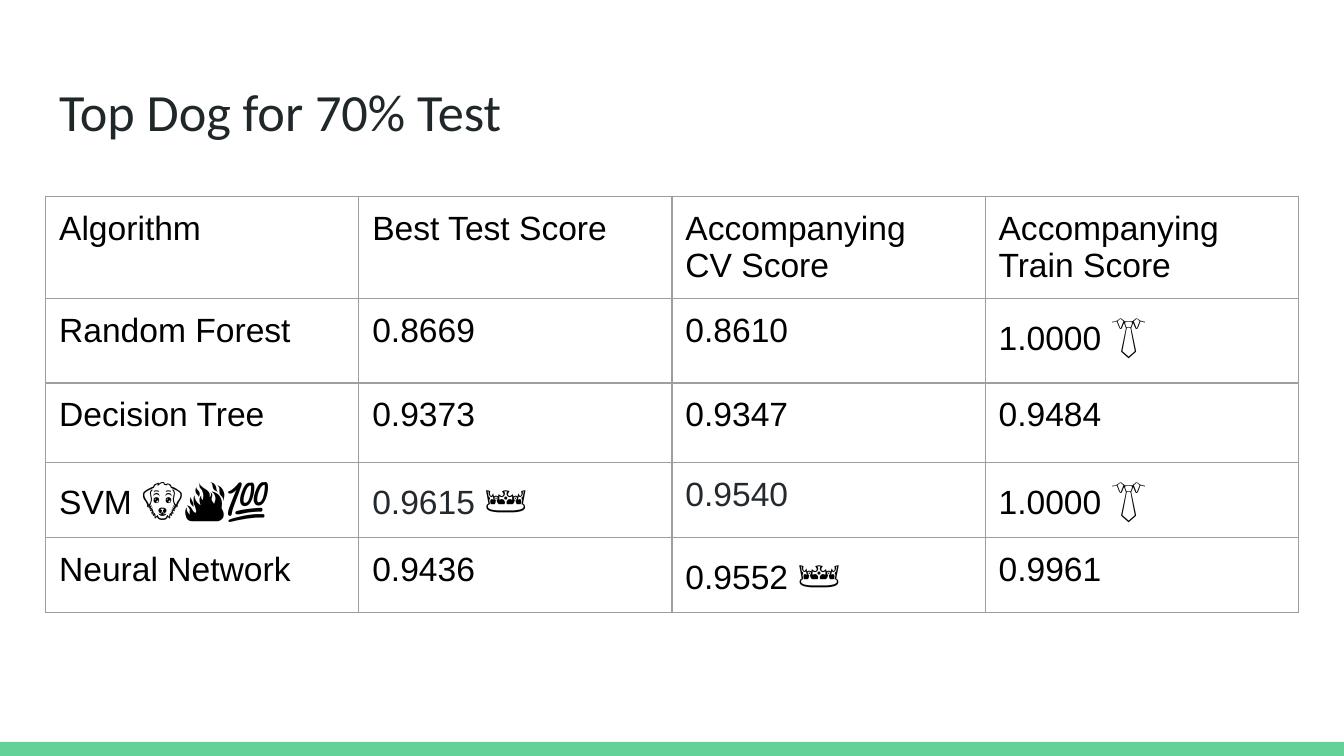
from lxml import etree
from pptx import Presentation
from pptx.dml.color import RGBColor
from pptx.enum import shapes, text
from pptx.oxml import ns
from pptx.util import Inches, Pt

BLACK = RGBColor(0x00, 0x00, 0x00)
SLATE = RGBColor(0x24, 0x29, 0x2E)
INK = RGBColor(0x20, 0x27, 0x29)
GREEN = RGBColor(0x63, 0xD2, 0x97)
GREY = RGBColor(0x9E, 0x9E, 0x9E)

HEIGHTS = [0.72, 0.63, 0.59, 0.54, 0.54]
ROWS = [
    ["Algorithm", "Best Test Score", "Accompanying\nCV Score", "Accompanying\nTrain Score"],
    ["Random Forest", "0.8669", "0.8610", ("1.0000 ", "👔")],
    ["Decision Tree", "0.9373", "0.9347", "0.9484"],
    [("SVM ", "🐶🔥💯"), ("0.9615 ", "👑"), "0.9540", ("1.0000 ", "👔")],
    ["Neural Network", "0.9436", ("0.9552 ", "👑"), "0.9961"],
]
DARK = {(3, 1), (3, 2)}


def add_run(para, words, size, color, face="Arial", bold=False):
    """Append one styled run to a paragraph."""
    run = para.add_run()
    run.text = words
    font = run.font
    font.name, font.size, font.bold = face, Pt(size), bold
    font.color.rgb = color


def add_bar(slide):
    """Draw the green strip along the bottom edge."""
    bar = slide.shapes.add_shape(
        shapes.MSO_SHAPE.RECTANGLE, 0, Inches(5.52), Inches(10), Inches(0.11))
    bar.shadow.inherit = False
    bar.fill.solid()
    bar.fill.fore_color.rgb = GREEN
    bar.line.fill.background()


def set_title(slide, words):
    """Place the title and write its text."""
    title = slide.shapes.title
    title.left, title.top = Inches(0.34), Inches(0.49)
    title.width, title.height = Inches(9.32), Inches(0.63)
    frame = title.text_frame
    frame.auto_size = text.MSO_AUTO_SIZE.NONE
    frame.vertical_anchor = text.MSO_ANCHOR.TOP
    frame.margin_left = frame.margin_right = Inches(0.1)
    frame.margin_top = frame.margin_bottom = Inches(0.1)
    para = frame.paragraphs[0]
    para.alignment = text.PP_ALIGN.LEFT
    add_run(para, words, 28, INK, "Calibri")


def add_edges(cell):
    """Give a cell thin grey borders on all sides."""
    props = cell._tc.get_or_add_tcPr()
    for place, side in enumerate("LRTB"):
        line = etree.Element(ns.qn(f"a:ln{side}"), w=str(Pt(0.75)))
        fill = etree.SubElement(line, ns.qn("a:solidFill"))
        etree.SubElement(fill, ns.qn("a:srgbClr"), val=str(GREY))
        props.insert(place, line)


def fill_cell(cell, item, color):
    """Write a cell's lines, with any emoji larger and bold."""
    words, icon = item if isinstance(item, tuple) else (item, "")
    cell.margin_left = cell.margin_right = Inches(0.1)
    cell.margin_top = cell.margin_bottom = Inches(0.1)
    cell.fill.background()
    add_edges(cell)
    frame = cell.text_frame
    for count, line in enumerate(words.split("\n")):
        para = frame.add_paragraph() if count else frame.paragraphs[0]
        add_run(para, line, 18, color)
    if icon:
        add_run(para, icon, 23, BLACK, bold=True)


def add_scores(slide):
    """Build the table of scores."""
    table = slide.shapes.add_table(
        len(ROWS), len(ROWS[0]), Inches(0.34), Inches(1.46),
        Inches(9.32), Inches(sum(HEIGHTS))).table
    table.first_row = table.horz_banding = False
    for row, height in zip(table.rows, HEIGHTS):
        row.height = Inches(height)
    for r, items in enumerate(ROWS):
        for c, item in enumerate(items):
            fill_cell(table.cell(r, c), item, SLATE if (r, c) in DARK else BLACK)


def main():
    """Build and save the slide."""
    deck = Presentation()
    deck.slide_width, deck.slide_height = Inches(10), Inches(10) * 9 // 16
    slide = deck.slides.add_slide(deck.slide_layouts[5])
    add_bar(slide)
    set_title(slide, "Top Dog for 70% Test")
    add_scores(slide)
    deck.save("out.pptx")


if __name__ == "__main__":
    main()
